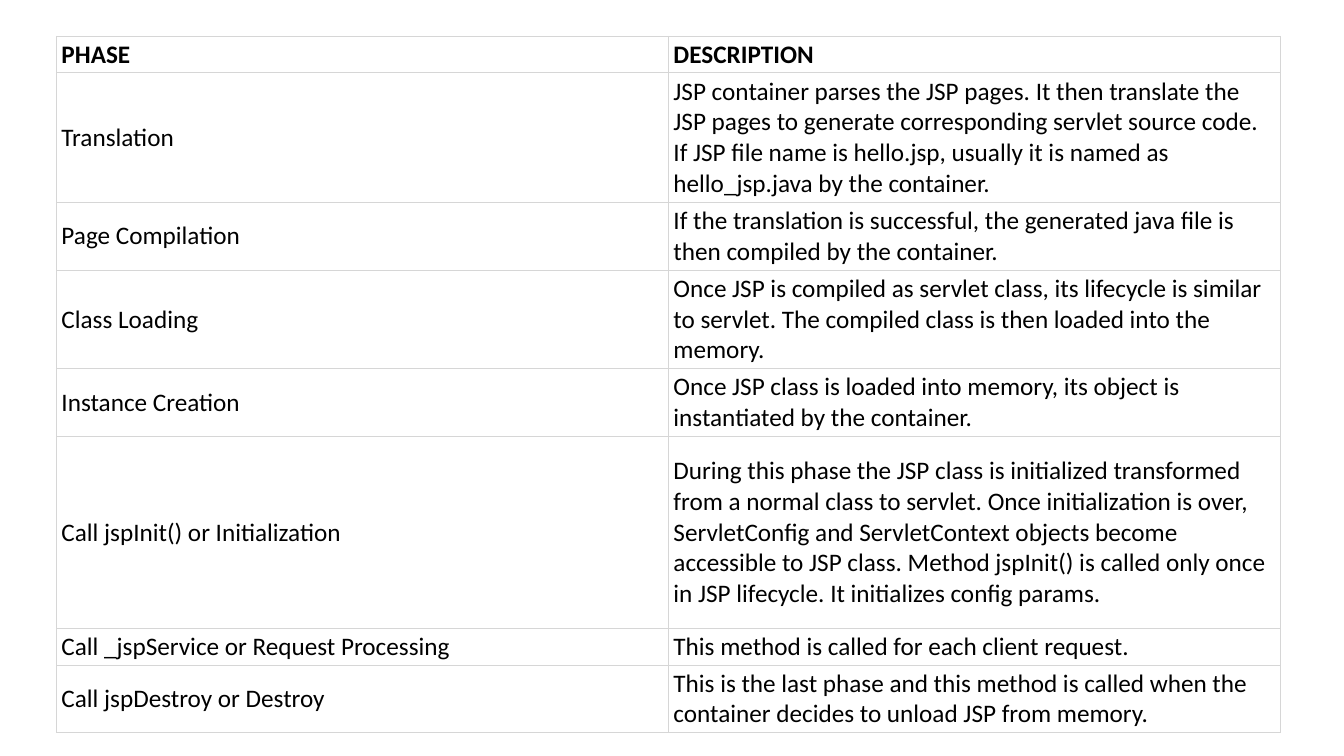
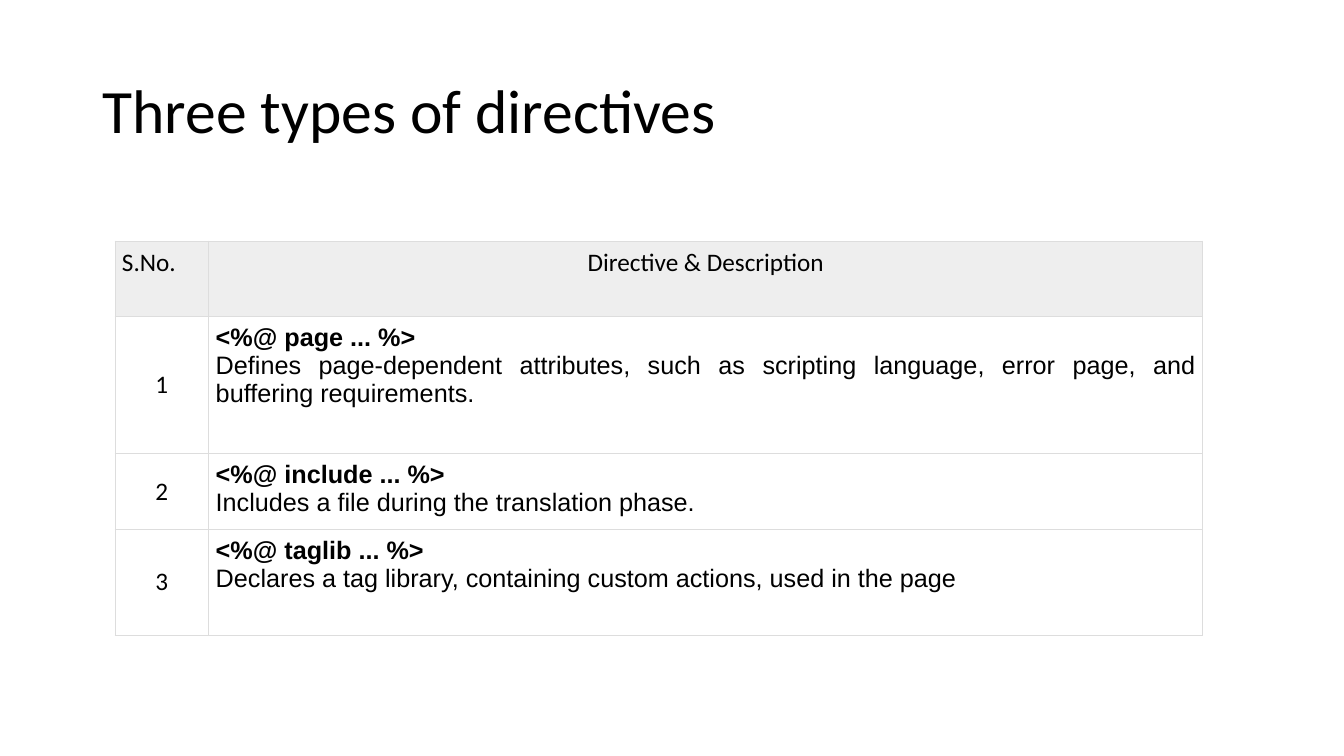
from dataclasses import dataclass

from lxml.etree import SubElement
from pptx import Presentation
from pptx.dml.color import RGBColor
from pptx.enum.text import MSO_ANCHOR, PP_ALIGN
from pptx.oxml.ns import qn
from pptx.util import Inches, Pt


@dataclass(frozen=True)
class Theme:
    text: str = "000000"
    white: str = "FFFFFF"
    header_fill: str = "EEEEEE"
    phase_border: str = "D6D6D6"
    directive_border: str = "DDDDDD"
    border_width: float = 0.6
    title_size: int = 44
    body_size: int = 18
    font: str = "Calibri"
    directive_font: str = "Arial"


@dataclass(frozen=True)
class CellStyle:
    border: str
    margins: tuple  # left and right, top and bottom
    fill: str = ""
    anchor: MSO_ANCHOR = MSO_ANCHOR.MIDDLE
    align: PP_ALIGN = PP_ALIGN.LEFT
    font: str = Theme.font


THEME = Theme()

PHASE_HEADER = ("PHASE", "DESCRIPTION")
PHASES = [
    ("Translation",
     "JSP container parses the JSP pages. It then translate the JSP pages to generate "
     "corresponding servlet source code. If JSP file name is hello.jsp, usually it is "
     "named as hello_jsp.java by the container."),
    ("Page Compilation",
     "If the translation is successful, the generated java file is then compiled by the "
     "container."),
    ("Class Loading",
     "Once JSP is compiled as servlet class, its lifecycle is similar to servlet. The "
     "compiled class is then loaded into the memory."),
    ("Instance Creation",
     "Once JSP class is loaded into memory, its object is instantiated by the container."),
    ("Call jspInit() or Initialization",
     "During this phase the JSP class is initialized transformed from a normal class to "
     "servlet. Once initialization is over, ServletConfig and ServletContext objects become "
     "accessible to JSP class. Method jspInit() is called only once in JSP lifecycle. It "
     "initializes config params."),
    ("Call _jspService or Request Processing",
     "This method is called for each client request."),
    ("Call jspDestroy or Destroy",
     "This is the last phase and this method is called when the container decides to unload "
     "JSP from memory."),
]
PHASE_COLUMNS = [6.07, 6.07]
PHASE_ROWS = [0.36, 1.29, 0.67, 0.98, 0.67, 1.91, 0.36, 0.67]

DIRECTIVES_TITLE = "Three types of directives"
DIRECTIVE_HEADER = ("S.No.", "Directive & Description")
DIRECTIVES = [
    ("<%@ page ... %>",
     "Defines page-dependent attributes, such as scripting language, error page, and "
     "buffering requirements."),
    ("<%@ include ... %>", "Includes a file during the translation phase."),
    ("<%@ taglib ... %>",
     "Declares a tag library, containing custom actions, used in the page"),
]
DIRECTIVE_COLUMNS = [0.93, 9.86]
DIRECTIVE_ROWS = [0.75, 1.36, 0.75, 1.05]


def add_span(para, text, size, font=THEME.font, bold=False):
    span = para.add_run()
    span.text = text
    span.font.size = Pt(size)
    span.font.name = font
    span.font.bold = bold
    span.font.color.rgb = RGBColor.from_string(THEME.text)


def set_borders(cell, color):
    properties = cell._tc.get_or_add_tcPr()
    for side in ("a:lnL", "a:lnR", "a:lnT", "a:lnB"):
        line = SubElement(properties, qn(side), w=str(Pt(THEME.border_width)))
        SubElement(SubElement(line, qn("a:solidFill")), qn("a:srgbClr"), val=color)


def fill_cell(cell, lines, style):
    """Write (text, bold) lines into a cell, one paragraph each."""
    set_borders(cell, style.border)
    if style.fill:
        cell.fill.solid()
        cell.fill.fore_color.rgb = RGBColor.from_string(style.fill)
    else:
        cell.fill.background()
    side, edge = (Inches(margin) for margin in style.margins)
    cell.margin_left = cell.margin_right = side
    cell.margin_top = cell.margin_bottom = edge
    cell.vertical_anchor = style.anchor
    frame = cell.text_frame
    for index, (text, bold) in enumerate(lines):
        para = frame.add_paragraph() if index else frame.paragraphs[0]
        para.alignment = style.align
        add_span(para, text, THEME.body_size, style.font, bold)


def add_grid(page, left, top, widths, heights, rows):
    """Add a table whose rows hold (lines, style) pairs."""
    table = page.shapes.add_table(
        len(heights), len(widths), Inches(left), Inches(top),
        Inches(sum(widths)), Inches(sum(heights))).table
    table.first_row = table.horz_banding = False
    for column, width in zip(table.columns, widths):
        column.width = Inches(width)
    for row, height, contents in zip(table.rows, heights, rows):
        row.height = Inches(height)
        for cell, (lines, style) in zip(row.cells, contents):
            fill_cell(cell, lines, style)


def add_title(page, text):
    box = page.shapes.add_textbox(Inches(0.92), Inches(0.4), Inches(11.5), Inches(1.45))
    frame = box.text_frame
    frame.word_wrap = True
    frame.vertical_anchor = MSO_ANCHOR.MIDDLE
    para = frame.paragraphs[0]
    para.line_spacing = 0.9
    add_span(para, text, THEME.title_size)


def add_page(deck):
    page = deck.slides.add_slide(deck.slide_layouts[6])
    page.background.fill.solid()
    page.background.fill.fore_color.rgb = RGBColor.from_string(THEME.white)
    return page


def build_phases(deck):
    style = CellStyle(THEME.phase_border, (0.05, 0.02), THEME.white)
    rows = [[([(text, row is PHASE_HEADER)], style) for text in row]
            for row in [PHASE_HEADER, *PHASES]]
    add_grid(add_page(deck), 0.56, 0.36, PHASE_COLUMNS, PHASE_ROWS, rows)


def build_directives(deck):
    border, margins = THEME.directive_border, (0.07, 0.07)
    top, center = MSO_ANCHOR.TOP, PP_ALIGN.CENTER
    header_left = CellStyle(border, margins, THEME.header_fill, top)
    header_center = CellStyle(border, margins, THEME.header_fill, top, center)
    number = CellStyle(border, margins, align=center)
    description = CellStyle(border, margins, anchor=top, align=PP_ALIGN.JUSTIFY,
                            font=THEME.directive_font)
    rows = [[([(text, False)], style)
             for text, style in zip(DIRECTIVE_HEADER, (header_left, header_center))]]
    for index, (directive, meaning) in enumerate(DIRECTIVES, start=1):
        rows.append([([(str(index), False)], number),
                     ([(directive, True), (meaning, False)], description)])
    page = add_page(deck)
    add_title(page, DIRECTIVES_TITLE)
    add_grid(page, 1.14, 2.39, DIRECTIVE_COLUMNS, DIRECTIVE_ROWS, rows)


def main():
    deck = Presentation()
    deck.slide_width, deck.slide_height = Inches(13.33), Inches(7.5)
    build_phases(deck)
    build_directives(deck)
    deck.save("out.pptx")


if __name__ == "__main__":
    main()
